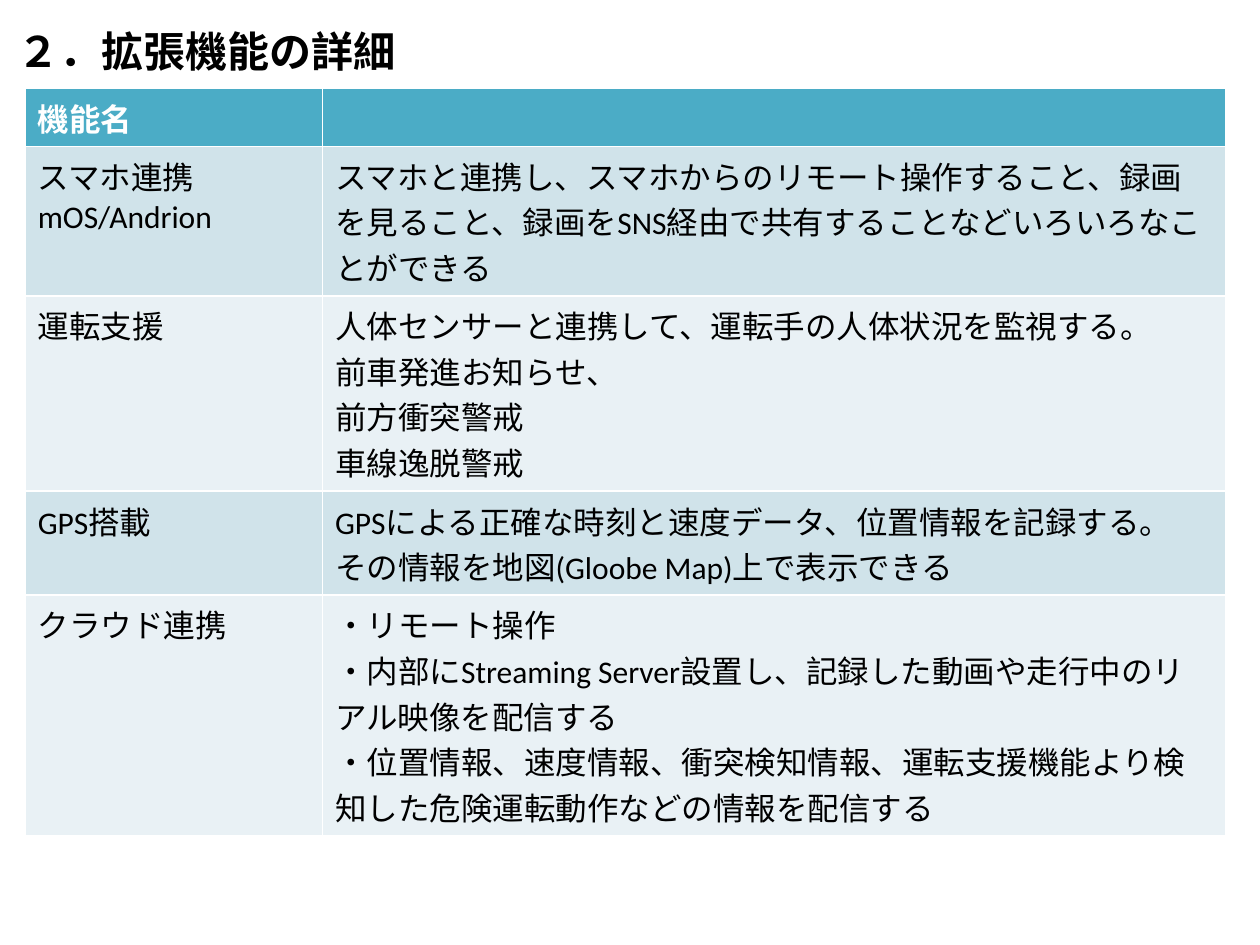
import pptx
import pptx.dml.color
import pptx.enum.text
import pptx.util

Inches = pptx.util.Inches
RGBColor = pptx.dml.color.RGBColor

FONT = "Calibri"
BLACK = RGBColor(0x00, 0x00, 0x00)
WHITE = RGBColor(0xFF, 0xFF, 0xFF)
TEAL = RGBColor(0x4B, 0xAC, 0xC6)
BANDS = (RGBColor(0xD0, 0xE3, 0xEA), RGBColor(0xE9, 0xF1, 0xF5))

TITLE = "２．拡張機能の詳細"
FEATURES = [
    ("機能名", ""),
    ("スマホ連携\nmOS/Andrion",
     "スマホと連携し、スマホからのリモート操作すること、録画を見ること、"
     "録画をSNS経由で共有することなどいろいろなことができる"),
    ("運転支援",
     "人体センサーと連携して、運転手の人体状況を監視する。\n"
     "前車発進お知らせ、\n前方衝突警戒\n車線逸脱警戒"),
    ("GPS搭載",
     "GPSによる正確な時刻と速度データ、位置情報を記録する。\n"
     "その情報を地図(Gloobe Map)上で表示できる"),
    ("クラウド連携",
     "・リモート操作\n"
     "・内部にStreaming Server設置し、記録した動画や走行中のリアル映像を配信する\n"
     "・位置情報、速度情報、衝突検知情報、運転支援機能より検知した"
     "危険運転動作などの情報を配信する"),
]
COLUMN_WIDTHS = (2.36, 7.17)
ROW_HEIGHTS = (0.45, 1.18, 1.55, 0.82, 1.9)


def format_text(frame, size, color, bold):
    for para in frame.paragraphs:
        para.alignment = pptx.enum.text.PP_ALIGN.LEFT
        for span in para.runs:
            span.font.name = FONT
            span.font.size = pptx.util.Pt(size)
            span.font.bold = bold
            span.font.color.rgb = color


def place_title(page, left, top, width, height):
    title = page.shapes.title
    title.left, title.top = Inches(left), Inches(top)
    title.width, title.height = Inches(width), Inches(height)
    title.text_frame.text = TITLE
    title.text_frame.vertical_anchor = pptx.enum.text.MSO_ANCHOR.MIDDLE
    format_text(title.text_frame, 24, BLACK, True)


def place_feature_table(page, left, top, width, height):
    table = page.shapes.add_table(
        len(FEATURES), len(COLUMN_WIDTHS),
        Inches(left), Inches(top), Inches(width), Inches(height)).table
    for column, share in zip(table.columns, COLUMN_WIDTHS):
        column.width = Inches(width * share / sum(COLUMN_WIDTHS))
    for row, share in zip(table.rows, ROW_HEIGHTS):
        row.height = Inches(height * share / sum(ROW_HEIGHTS))
    for row_index, texts in enumerate(FEATURES):
        header = row_index == 0
        fill = TEAL if header else BANDS[(row_index - 1) % 2]
        for column_index, text in enumerate(texts):
            cell = table.cell(row_index, column_index)
            cell.fill.solid()
            cell.fill.fore_color.rgb = fill
            cell.text_frame.text = text
            format_text(cell.text_frame, 18, WHITE if header else BLACK, header)


def main():
    deck = pptx.Presentation()
    deck.slide_width, deck.slide_height = Inches(10), Inches(7.5)
    page = deck.slides.add_slide(deck.slide_layouts[5])
    place_title(page, 0.04, -0.03, 7.44, 0.86)
    place_feature_table(page, 0.2, 0.7, sum(COLUMN_WIDTHS), sum(ROW_HEIGHTS))
    deck.save("out.pptx")


if __name__ == "__main__":
    main()
